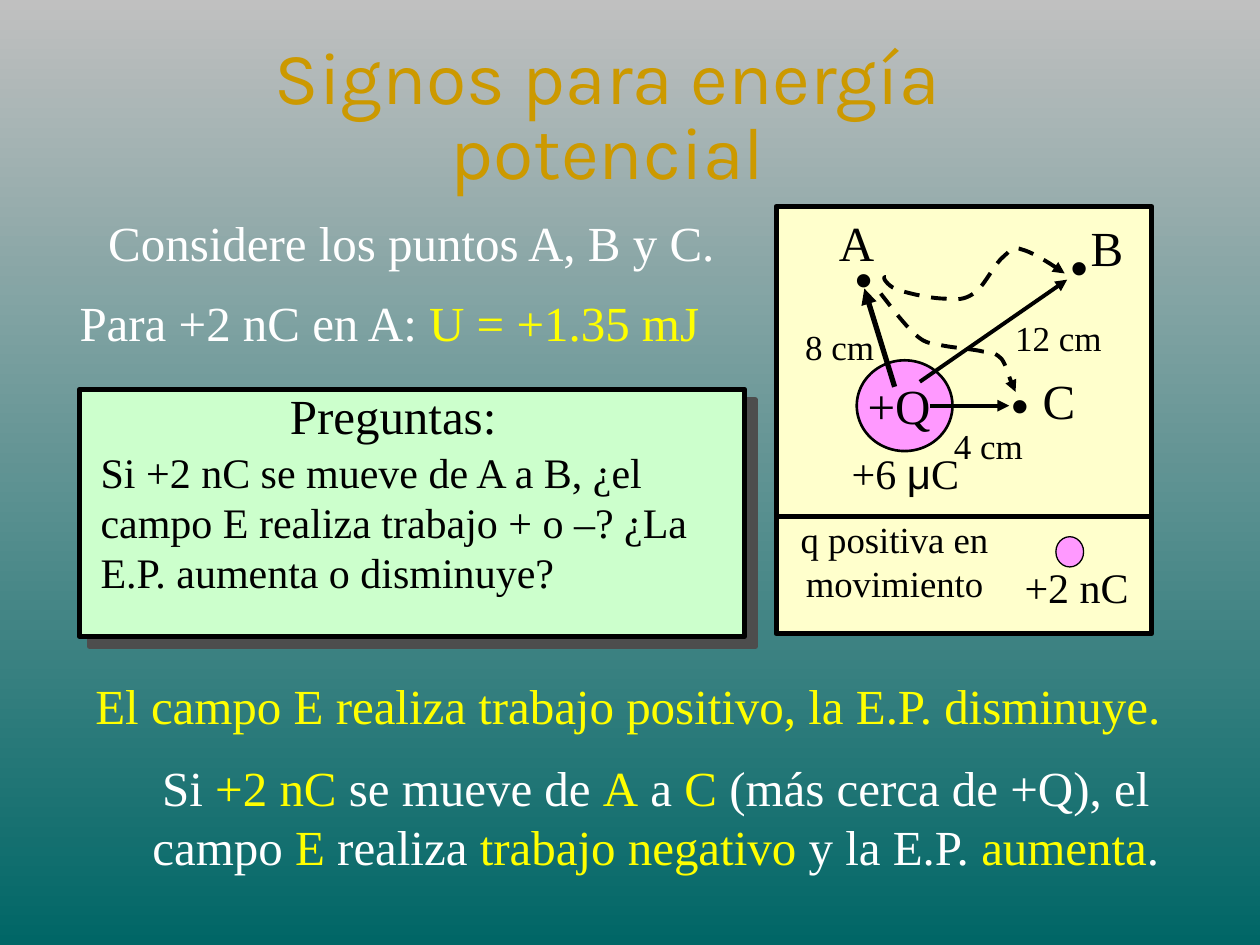
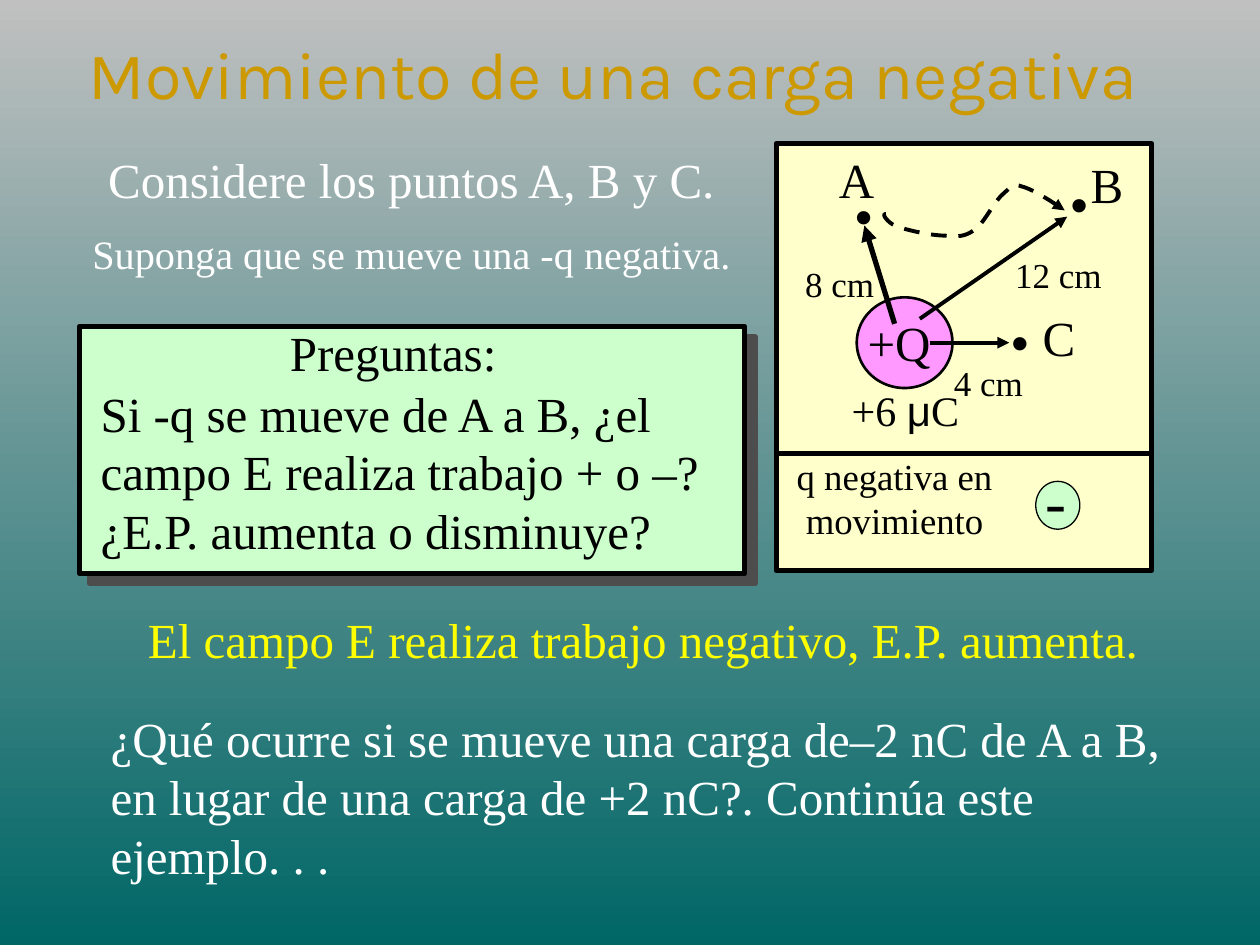
"""Build two slides on the sign of electric potential energy."""
from lxml.etree import SubElement
from pptx import Presentation
from pptx.dml.color import RGBColor
from pptx.enum.dml import MSO_LINE
from pptx.enum.shapes import MSO_CONNECTOR, MSO_SHAPE
from pptx.enum.text import MSO_ANCHOR, MSO_AUTO_SIZE, PP_ALIGN
from pptx.oxml.ns import qn
from pptx.util import Inches, Pt

BLACK = RGBColor(0x00, 0x00, 0x00)
WHITE = RGBColor(0xFF, 0xFF, 0xFF)
YELLOW = RGBColor(0xFF, 0xFF, 0x00)
GOLD = RGBColor(0xCC, 0x99, 0x00)
SILVER = RGBColor(0xC0, 0xC0, 0xC0)
TEAL = RGBColor(0x00, 0x66, 0x66)
CREAM = RGBColor(0xFF, 0xFF, 0xCC)
MINT = RGBColor(0xCC, 0xFF, 0xCC)
PINK = RGBColor(0xFF, 0x99, 0xFF)

TITLE_FONT, BODY_FONT, SYMBOL_FONT = "Karla", "Times New Roman", "Arial"
PANEL_LEFT, PANEL_WIDTH = 6.16, 2.98
FIELD_HEIGHT, LEGEND_HEIGHT = 2.46, 0.93
CURVE_STEPS = 10

PATH_A_TO_B = [
    (7.03, 0.56), (6.99, 0.55), (7.05, 0.64), (7.13, 0.66),
    (7.21, 0.69), (7.4, 0.73), (7.5, 0.73), (7.6, 0.74),
    (7.66, 0.74), (7.74, 0.68), (7.81, 0.63), (7.89, 0.46),
    (7.96, 0.4), (8.02, 0.35), (8.03, 0.31), (8.11, 0.34),
    (8.19, 0.36), (8.32, 0.44), (8.45, 0.53),
]
PATH_A_TO_C = [
    (6.99, 0.69), (7.09, 0.82), (7.19, 0.95), (7.27, 1.02),
    (7.35, 1.09), (7.38, 1.08), (7.47, 1.1), (7.56, 1.12),
    (7.72, 1.13), (7.8, 1.15), (7.88, 1.16), (7.9, 1.16),
    (7.95, 1.21), (7.99, 1.26), (8.03, 1.43), (8.06, 1.47),
]


def inches(*lengths):
    """Convert several lengths to EMU."""
    return [Inches(length) for length in lengths]


def set_background(master):
    """Give all slides the silver to teal gradient."""
    fill = master.background.fill
    fill.gradient()
    fill.gradient_angle = 270
    for stop, color, position in zip(fill.gradient_stops, (SILVER, TEAL), (0, 1)):
        stop.color.rgb = color
        stop.position = position


def add_titled_slide(prs, title_text, box, size):
    """Add a slide with a gold title."""
    slide = prs.slides.add_slide(prs.slide_layouts[5])
    title = slide.shapes.title
    title.left, title.top, title.width, title.height = inches(*box)
    frame = title.text_frame
    frame.text = title_text
    frame.word_wrap = True
    frame.auto_size = MSO_AUTO_SIZE.NONE
    frame.vertical_anchor = MSO_ANCHOR.MIDDLE
    paragraph = frame.paragraphs[0]
    paragraph.alignment = PP_ALIGN.CENTER
    paragraph.line_spacing = 0.85
    font = paragraph.runs[0].font
    font.name, font.size, font.color.rgb = TITLE_FONT, Pt(size), GOLD
    return slide


def add_text(slide, box, text, size=28, color=BLACK, accent=None,
             font=BODY_FONT, accent_font=None, align=PP_ALIGN.CENTER):
    """Add a text box; every second part between bars takes the accent."""
    frame = slide.shapes.add_textbox(*inches(*box)).text_frame
    frame.word_wrap = True
    frame.auto_size = MSO_AUTO_SIZE.SHAPE_TO_FIT_TEXT
    frame.margin_left = frame.margin_right = Inches(0.1)
    frame.margin_top = frame.margin_bottom = Inches(0.1)
    paragraph = frame.paragraphs[0]
    paragraph.alignment = align
    space_before = SubElement(paragraph._p.get_or_add_pPr(), qn("a:spcBef"))
    SubElement(space_before, qn("a:spcPct"), val="50000")
    for index, part in enumerate(text.split("|")):
        run = paragraph.add_run()
        run.text = part
        accented = index % 2 == 1
        run.font.size = Pt(size)
        run.font.name = accent_font if accented and accent_font else font
        run.font.color.rgb = accent if accented and accent else color


def add_outlined(slide, preset, box, fill, line_width):
    """Add a filled preset shape with a black outline."""
    shape = slide.shapes.add_shape(preset, *inches(*box))
    shape.shadow.inherit = False
    shape.fill.solid()
    shape.fill.fore_color.rgb = fill
    shape.line.color.rgb = BLACK
    shape.line.width = Pt(line_width)
    return shape


def style_arrow(line, width):
    """Make a line black and end it with a triangle."""
    line.color.rgb = BLACK
    line.width = Pt(width)
    SubElement(line._get_or_add_ln(), qn("a:tailEnd"), type="triangle")


def add_arrow(slide, start, end, width=2.25):
    """Add a straight arrow."""
    arrow = slide.shapes.add_connector(
        MSO_CONNECTOR.STRAIGHT, *inches(*start, *end))
    style_arrow(arrow.line, width)
    SubElement(arrow._element.spPr, qn("a:effectLst"))


def bezier_point(controls, t):
    """Return the point at t on a cubic curve."""
    weights = ((1 - t) ** 3, 3 * t * (1 - t) ** 2, 3 * t ** 2 * (1 - t), t ** 3)
    return tuple(sum(w * c for w, c in zip(weights, axis)) for axis in zip(*controls))


def add_dashed_path(slide, controls, top):
    """Add a dashed curved arrow through chained cubic curves."""
    points = [bezier_point(controls[i:i + 4], step / CURVE_STEPS)
              for i in range(0, len(controls) - 1, 3)
              for step in range(1, CURVE_STEPS + 1)]
    vertices = [inches(x, top + y) for x, y in [controls[0], *points]]
    builder = slide.shapes.build_freeform(*vertices[0])
    builder.add_line_segments(vertices[1:], close=False)
    curve = builder.convert_to_shape()
    curve.shadow.inherit = False
    curve.fill.background()
    curve.line.dash_style = MSO_LINE.DASH
    style_arrow(curve.line, 2.25)


def add_field_diagram(slide, top, paths):
    """Draw the charge +Q, the points A, B and C and the paths of q."""
    add_outlined(slide, MSO_SHAPE.RECTANGLE,
                 (PANEL_LEFT, top, PANEL_WIDTH, FIELD_HEIGHT), CREAM, 3)
    for path_controls in paths:
        add_dashed_path(slide, path_controls, top)
    add_outlined(slide, MSO_SHAPE.OVAL, (6.8, top + 1.22, 0.76, 0.72), PINK, 1.5)
    add_text(slide, (6.64, top + 1.81, 1.09, 0.6), "+6 |μ|C", 24,
             accent_font=SYMBOL_FONT)
    add_text(slide, (6.72, top + 1.24, 0.83, 0.67), "+Q")
    for left, drop in ((6.66, 0.23), (8.37, 0.14), (7.9, 1.23)):
        add_text(slide, (left, top + drop, 0.39, 0.67), "•", font=SYMBOL_FONT)
    for point, left, drop, width in (
            ("A", 6.56, -0.05, 0.43), ("B", 8.49, -0.01, 0.59), ("C", 8.11, 1.2, 0.59)):
        add_text(slide, (left, top + drop, width, 0.67), point)
    for distance, left, drop, width in (
            ("8 cm", 6.23, 0.84, 0.87), ("12 cm", 7.88, 0.77, 1.04),
            ("4 cm", 7.41, 1.63, 0.87)):
        add_text(slide, (left, top + drop, width, 0.53), distance, 20)
    add_arrow(slide, (7.1, top + 1.43), (6.86, top + 0.65), 3)
    add_arrow(slide, (7.38, top + 1.58), (8.01, top + 1.58))
    add_arrow(slide, (7.3, top + 1.39), (8.47, top + 0.58))


def add_legend(slide, diagram_top, caption, charge_box, charge_fill,
               sign, sign_box, sign_size):
    """Draw the moving charge and its caption below the diagram."""
    top = diagram_top + FIELD_HEIGHT
    add_outlined(slide, MSO_SHAPE.RECTANGLE,
                 (PANEL_LEFT, top, PANEL_WIDTH, LEGEND_HEIGHT), CREAM, 3)
    add_outlined(slide, MSO_SHAPE.OVAL, charge_box, charge_fill, 0.75)
    add_text(slide, (6.22, top - 0.1, 1.76, 0.9), caption, 21)
    add_text(slide, sign_box, sign, sign_size)


def add_questions(slide, top, question, height, size):
    """Draw the mint question card with its hard shadow."""
    card = add_outlined(slide, MSO_SHAPE.RECTANGLE, (0.63, top, 5.28, 1.96), MINT, 3)
    effects = card._element.spPr.find(qn("a:effectLst"))
    shadow = SubElement(effects, qn("a:outerShdw"), dist=str(Pt(8.5)),
                        dir="2700000", algn="ctr", rotWithShape="0")
    SubElement(shadow, qn("a:srgbClr"), val="4D4D4D")
    add_text(slide, (0.7, top + 0.35, 5.19, height), question, size,
             align=PP_ALIGN.LEFT)
    add_text(slide, (2.11, top - 0.13, 2.02, 0.67), "Preguntas:")


def add_premise(slide, top):
    """Add the opening line that both slides share."""
    add_text(slide, (0.61, top, 5.31, 0.67), "Considere los puntos A, B y C.",
             color=WHITE)


def build_positive_charge(prs):
    """Build the slide on a positive moving charge."""
    slide = add_titled_slide(prs, "Signos para energía potencial",
                             (0.82, 0.32, 8, 1.25), 42)
    diagram_top = 1.64
    add_field_diagram(slide, diagram_top, (PATH_A_TO_B, PATH_A_TO_C))
    add_premise(slide, 1.59)
    add_text(slide, (0.5, 2.22, 5.18, 0.67), "Para +2 nC en A: |U = +1.35 mJ",
             color=WHITE, accent=YELLOW)
    add_questions(slide, 3.09,
                  "Si +2 nC se mueve de A a B, ¿el campo E realiza trabajo + o –? "
                  "¿La E.P. aumenta o disminuye?", 1.4, 24)
    add_legend(slide, diagram_top, "q positiva en movimiento",
               (8.38, 4.26, 0.22, 0.24), PINK, "+2 nC", (8, 4.36, 1.09, 0.6), 24)
    add_text(slide, (0.57, 5.26, 8.83, 0.67),
             "El campo E realiza trabajo positivo, la E.P. disminuye.", color=YELLOW)
    add_text(slide, (0.95, 5.91, 8.51, 1.14),
             "Si |+2 nC| se mueve de |A| a |C| (más cerca de +Q), el campo |E| "
             "realiza |trabajo negativo| y la E.P. |aumenta|.",
             color=WHITE, accent=YELLOW)


def build_negative_charge(prs):
    """Build the slide on a negative moving charge."""
    slide = add_titled_slide(prs, "Movimiento de una carga negativa",
                             (0.46, 0, 8.82, 1.25), 38)
    diagram_top = 1.14
    add_premise(slide, 1.09)
    add_text(slide, (0.54, 1.72, 5.46, 0.59),
             "Suponga que se mueve una -q negativa.", 23, WHITE)
    add_questions(slide, 2.59,
                  "Si -q se mueve de A a B, ¿el campo E realiza trabajo + o –? "
                  "¿E.P. aumenta o disminuye?", 1.6, 28)
    add_field_diagram(slide, diagram_top, (PATH_A_TO_B,))
    add_legend(slide, diagram_top, "q negativa en movimiento",
               (8.22, 3.82, 0.35, 0.38), MINT, "-", (8.15, 3.56, 0.46, 0.8), 36)
    add_text(slide, (0.69, 4.74, 8.83, 0.67),
             "El campo E realiza trabajo negativo, E.P. aumenta.", color=YELLOW)
    add_text(slide, (0.78, 5.52, 8.76, 1.6),
             "¿Qué ocurre si se mueve una carga de–2 nC de A a B, en lugar de una "
             "carga de +2 nC?. Continúa este ejemplo. . .",
             color=WHITE, align=PP_ALIGN.LEFT)


def main():
    """Build and save the presentation."""
    prs = Presentation()
    prs.slide_width, prs.slide_height = inches(10, 7.5)
    set_background(prs.slide_master)
    build_positive_charge(prs)
    build_negative_charge(prs)
    prs.save("out.pptx")


if __name__ == "__main__":
    main()
